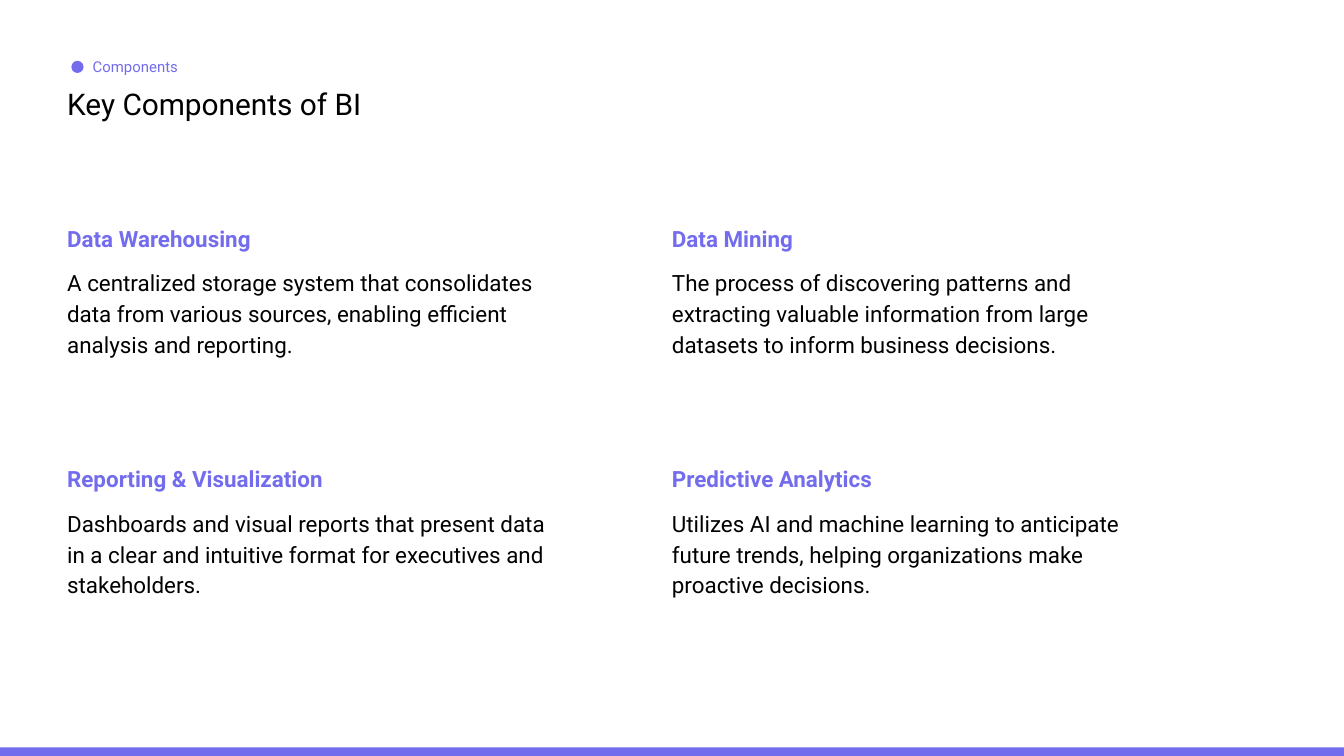
from pptx import Presentation
from pptx.dml.color import RGBColor
from pptx.enum.shapes import MSO_SHAPE
from pptx.enum.text import MSO_ANCHOR, MSO_AUTO_SIZE, PP_ALIGN
from pptx.util import Cm, Pt

TOP, MIDDLE, BOTTOM = MSO_ANCHOR.TOP, MSO_ANCHOR.MIDDLE, MSO_ANCHOR.BOTTOM
LEFT = PP_ALIGN.LEFT
NO_AUTOFIT = MSO_AUTO_SIZE.NONE
OVAL, RECTANGLE = MSO_SHAPE.OVAL, MSO_SHAPE.RECTANGLE

COLORS = {"accent": "736CED", "text": "000000", "background": "FFFFFF"}
FONT = "Roboto"
TITLE_ONLY = 5

SLIDE_WIDTH, SLIDE_HEIGHT = 25.4, 14.29
MARGIN = 1.27
INSET = 0.25
COLUMN_PITCH, ROW_PITCH = 11.43, 4.54
GRID_TOP = 3.63
CARD_WIDTH, HEADING_HEIGHT, BODY_HEIGHT = 9.55, 1.14, 2.95
BAR_HEIGHT = 0.16

COMPONENTS = [
    ("Data Warehousing",
     "A centralized storage system that consolidates data from various "
     "sources, enabling efficient analysis and reporting."),
    ("Data Mining",
     "The process of discovering patterns and extracting valuable "
     "information from large datasets to inform business decisions."),
    ("Reporting & Visualization",
     "Dashboards and visual reports that present data in a clear and "
     "intuitive format for executives and stakeholders."),
    ("Predictive Analytics",
     "Utilizes AI and machine learning to anticipate future trends, "
     "helping organizations make proactive decisions."),
]


class SlideBuilder:
    """Holds the style and the slide being built."""

    def __init__(self, slide):
        self.slide = slide
        fill = slide.background.fill
        fill.solid()
        fill.fore_color.rgb = self.color("background")

    def color(self, name):
        return RGBColor.from_string(COLORS[name])

    def fill_text(self, box, text, size, color, anchor, insets,
                  bold=False, line_spacing=1.0, space_after=0):
        """Fill a box with one paragraph; insets are left, top, right, bottom."""
        frame = box.text_frame
        frame.word_wrap = True
        frame.auto_size = NO_AUTOFIT
        frame.vertical_anchor = anchor
        (frame.margin_left, frame.margin_top,
         frame.margin_right, frame.margin_bottom) = map(Cm, insets)
        paragraph = frame.paragraphs[0]
        paragraph.alignment = LEFT
        paragraph.line_spacing = line_spacing
        paragraph.space_before = Pt(0)
        paragraph.space_after = Pt(space_after)
        run = paragraph.add_run()
        run.text = text
        run.font.name = FONT
        run.font.size = Pt(size)
        run.font.bold = bold
        run.font.color.rgb = self.color(color)

    def title(self, text, left, top, width, height):
        title = self.slide.shapes.title
        title.left, title.top = Cm(left), Cm(top)
        title.width, title.height = Cm(width), Cm(height)
        self.fill_text(title, text, 16, "text", BOTTOM, (0, INSET, 0, INSET),
                       line_spacing=0.75)

    def text(self, text, left, top, width, height, **style):
        box = self.slide.shapes.add_textbox(
            Cm(left), Cm(top), Cm(width), Cm(height))
        self.fill_text(box, text, **style)

    def shape(self, kind, left, top, width, height):
        shape = self.slide.shapes.add_shape(
            kind, Cm(left), Cm(top), Cm(width), Cm(height))
        shape.shadow.inherit = False
        shape.fill.solid()
        shape.fill.fore_color.rgb = self.color("accent")
        shape.line.fill.background()

    def card(self, heading, body, left, top):
        self.text(body, left, top + HEADING_HEIGHT, CARD_WIDTH, BODY_HEIGHT,
                  size=12, color="text", anchor=TOP,
                  insets=(0, INSET, INSET, INSET),
                  line_spacing=1.15, space_after=20)
        self.text(heading, left, top, CARD_WIDTH, HEADING_HEIGHT,
                  size=12, color="accent", anchor=BOTTOM,
                  insets=(0, 0, INSET, 0), bold=True)


def main():
    presentation = Presentation()
    presentation.slide_width = Cm(SLIDE_WIDTH)
    presentation.slide_height = Cm(SLIDE_HEIGHT)
    layout = presentation.slide_layouts[TITLE_ONLY]
    builder = SlideBuilder(presentation.slides.add_slide(layout))

    for index, (heading, body) in enumerate(COMPONENTS):
        row, column = divmod(index, 2)
        builder.card(heading, body, MARGIN + column * COLUMN_PITCH,
                     GRID_TOP + row * ROW_PITCH)

    builder.text("Components", 1.75, 0.82, 6.86, 0.89, size=8,
                 color="accent", anchor=MIDDLE, insets=(0, 0, 0, 0))
    builder.shape(OVAL, 1.35, 1.15, 0.23, 0.23)
    builder.title("Key Components of BI", MARGIN, 1.37, 21.62, 1.17)
    builder.shape(RECTANGLE, 0, SLIDE_HEIGHT - BAR_HEIGHT,
                  SLIDE_WIDTH, BAR_HEIGHT)

    presentation.save("out.pptx")


if __name__ == "__main__":
    main()
